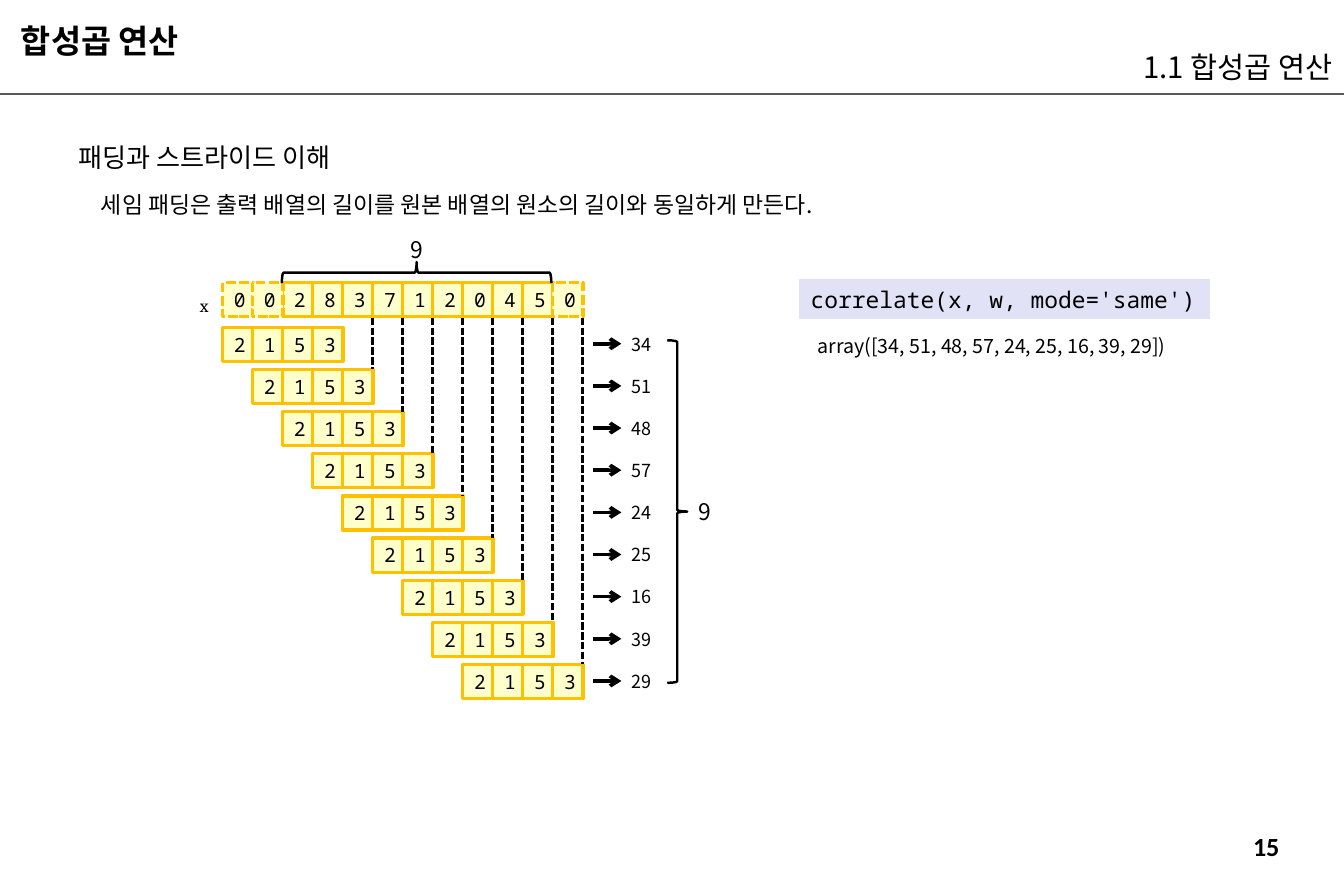
from lxml import etree
from pptx import Presentation
from pptx import util as u
from pptx.dml.color import RGBColor
from pptx.enum import dml, shapes, text
from pptx.oxml.ns import qn

BLACK = RGBColor(0x00, 0x00, 0x00)
RULE = RGBColor(0x59, 0x59, 0x59)
CREAM = RGBColor(0xFF, 0xFF, 0xCC)
GOLD = RGBColor(0xFF, 0xC0, 0x00)
LILAC = RGBColor(0xE2, 0xE2, 0xF6)
SANS, MONO = "Noto Sans CJK KR", "Noto Sans Mono"
LEFT, MID, RIGHT = text.PP_ALIGN.LEFT, text.PP_ALIGN.CENTER, text.PP_ALIGN.RIGHT
DASH = dml.MSO_LINE.SQUARE_DOT

INPUT = "002837120450"
KERNEL = "2153"
SUMS = [34, 51, 48, 57, 24, 25, 16, 39, 29]
CELL_W, CELL_H = 0.26, 0.29
COL, ROW = 0.255, 0.358


def inches(*nums):
    """Turn numbers into lengths."""
    return [u.Inches(n) for n in nums]


def write(shape, words, size, font=SANS, align=LEFT, bold=False):
    """Put one styled paragraph into a shape."""
    para = shape.text_frame.paragraphs[0]
    para.alignment = align
    run = para.add_run()
    run.text = words
    style = {"size": u.Pt(size), "name": font, "bold": bold}
    for key, value in style.items():
        setattr(run.font, key, value)
    run.font.color.rgb = BLACK
    asian = etree.SubElement(run.font._element, qn("a:ea"))
    asian.set("typeface", SANS)


def label(slide, box, words, size, wrap=True, low=False, **style):
    """Add a text box, set low for a title line."""
    shape = slide.shapes.add_textbox(*inches(*box))
    frame = {"word_wrap": wrap}
    if low:
        frame.update(vertical_anchor=text.MSO_ANCHOR.BOTTOM,
                     margin_top=u.Inches(0.02), margin_bottom=u.Inches(0.02))
    for key, value in frame.items():
        setattr(shape.text_frame, key, value)
    write(shape, words, size, **style)


def block(slide, box, fill=None, line=None, width=2, dash=None, kind="RECTANGLE"):
    """Add a preset shape with the given fill and outline."""
    shape = slide.shapes.add_shape(shapes.MSO_SHAPE[kind], *inches(*box))
    shape.shadow.inherit = False
    for part, color in ((shape.fill, fill), (shape.line.fill, line)):
        if color is None:
            part.background()
        else:
            part.solid()
            part.fore_color.rgb = color
    if line is not None:
        shape.line.width = u.Pt(width)
        shape.line.dash_style = dash
    return shape


def stroke(slide, ends, color=BLACK, width=1.5, dash=None, arrow=False):
    """Draw a straight line, with an arrowhead if asked."""
    line = slide.shapes.add_connector(shapes.MSO_CONNECTOR.STRAIGHT, *inches(*ends))
    line.line.color.rgb = color
    line.line.width = u.Pt(width)
    line.line.dash_style = dash
    if arrow:
        etree.SubElement(line.line._get_or_add_ln(), qn("a:tailEnd")).set("type", "arrow")
    etree.SubElement(line._element.spPr, qn("a:effectLst"))


def cells(slide, x, y, digits, dashed=()):
    """Lay a row of digit cells, the dashed columns last."""
    for i in sorted(range(len(digits)), key=lambda n: n in dashed):
        cell = block(slide, (x + i * COL, y, CELL_W, CELL_H), CREAM, GOLD,
                     dash=DASH if i in dashed else None)
        write(cell, digits[i], 12, font=MONO, align=MID)


def header(slide, x, y, w):
    """Place the title, section name and rule."""
    stroke(slide, (x, y + 0.8, x + w, y + 0.8), RULE)
    label(slide, (x + 0.08, y + 0.09, 6.48, 0.44), "합성곱 연산", 20,
          low=True, font="Calibri", bold=True)
    label(slide, (x + w - 5.31, y + 0.3, 5.31, 0.44), "1.1 합성곱 연산", 18,
          low=True, align=RIGHT)


def intro(slide, x, y):
    """Place the topic and its explanation."""
    label(slide, (x, y, 2.36, 0.37), "패딩과 스트라이드 이해", 16, wrap=False)
    label(slide, (x + 0.19, y + 0.42, 6.34, 0.34),
          "세임 패딩은 출력 배열의 길이를 원본 배열의 원소의 길이와 동일하게 만든다.", 14)


def sliding(slide, x, y):
    """Draw the padded input, the sliding kernel and its sums."""
    label(slide, (x - 0.29, y + 0.05, 0.26, 0.25), "x", 11, font="Cambria")
    cells(slide, x, y, INPUT, dashed=(0, 1, 11))
    for i, total in enumerate(SUMS):
        top = y + 0.38 + i * ROW
        cells(slide, x + i * COL, top, KERNEL)
        stroke(slide, (x + 3.15, top + 0.14, x + 3.39, top + 0.14), width=2.25, arrow=True)
        label(slide, (x + 3.38, top, 0.4, 0.29), str(total), 11)
        if i:
            edge = x + (i + len(KERNEL)) * COL
            stroke(slide, (edge, y + 0.3, edge, top), dash=DASH)
    upper = block(slide, (x + 1.56, y - 1.23, 0.18, 2.29), line=BLACK, width=1.5,
                  kind="RIGHT_BRACE")
    upper.rotation = 270
    block(slide, (x + 3.78, y + 0.49, 0.17, 2.91), line=BLACK, width=1.5,
          kind="RIGHT_BRACE")
    for dx, dy in ((1.5, -0.45), (3.95, 1.78)):
        label(slide, (x + dx, y + dy, 0.31, 0.34), str(len(SUMS)), 14, wrap=False)


def code(slide, x, y):
    """Place the call and its output."""
    call = block(slide, (x, y, 3.49, 0.34), LILAC)
    write(call, "correlate(x, w, mode='same')", 14, font=MONO)
    label(slide, (x + 0.06, y + 0.42, 3.28, 0.3),
          "array([34, 51, 48, 57, 24, 25, 16, 39, 29])", 12, wrap=False)


def main():
    """Build and save the slide."""
    deck = Presentation()
    deck.slide_width, deck.slide_height = inches(11.42, 7.5)
    slide = deck.slides.add_slide(deck.slide_layouts[6])
    header(slide, 0, 0, 11.42)
    intro(slide, 0.57, 1.15)
    sliding(slide, 1.89, 2.4)
    code(slide, 6.79, 2.37)
    label(slide, (10.26, 7, 1, 0.24), "15", 16, font="Calibri", align=MID, bold=True)
    deck.save("out.pptx")


if __name__ == "__main__":
    main()
